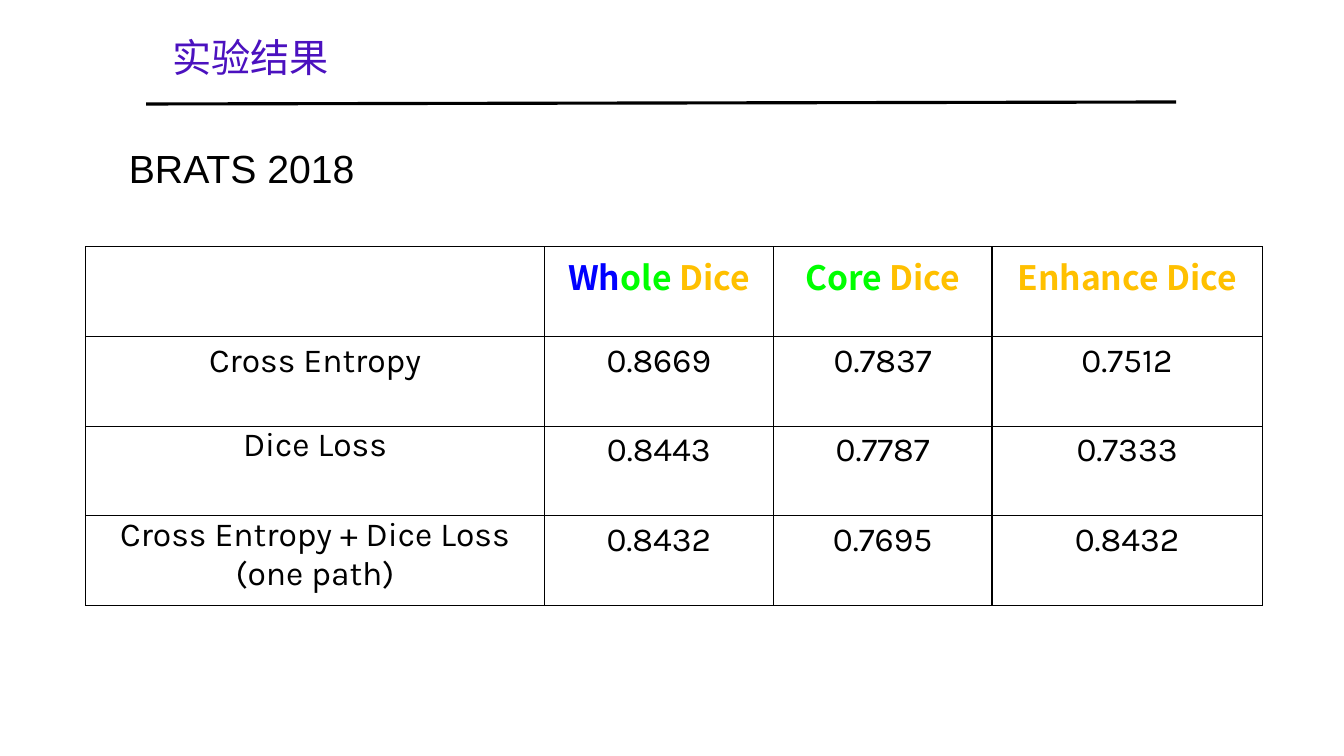
from lxml import etree
from pptx import Presentation
from pptx import util as u
from pptx.dml.color import RGBColor
from pptx.enum import shapes, text
from pptx.oxml import ns

BLACK, WHITE, PURPLE = "000000", "FFFFFF", "4B11BF"
BLUE, GREEN, ORANGE = "0000FF", "00FF00", "FFC000"
KARLA, NOTO = "Karla", "Noto Sans CJK SC"

HEADER = [
    [],
    [("Wh", BLUE), ("ole ", GREEN), ("Dice", ORANGE)],
    [("Core ", GREEN), ("Dice", ORANGE)],
    [("Enhance Dice", ORANGE)],
]
SCORES = [
    ["Cross Entropy", "0.8669", "0.7837", "0.7512"],
    ["Dice Loss", "0.8443", "0.7787", "0.7333"],
    ["Cross Entropy + Dice Loss (one path)", "0.8432", "0.7695", "0.8432"],
]
COLUMN_WIDTHS = [11.56, 5.77, 5.51, 6.81]
ROW_HEIGHT = 2.26
TIGHT_ROWS = (2, 3)


def apply(target, values):
    for name, value in values.items():
        setattr(target, name, value)


def colour(hex_string):
    return RGBColor.from_string(hex_string)


def place(shape, left, top, width, height):
    apply(shape, {"left": u.Cm(left), "top": u.Cm(top),
                  "width": u.Cm(width), "height": u.Cm(height)})


def write(para, pieces, size, name, bold=False, align=text.PP_ALIGN.LEFT):
    para.alignment = align
    for words, hex_string in pieces:
        span = para.add_run()
        span.text = words
        apply(span.font, {"size": u.Pt(size), "name": name, "bold": bold})
        span.font.color.rgb = colour(hex_string)
        east_asian = etree.SubElement(span._r.get_or_add_rPr(), ns.qn("a:ea"))
        east_asian.set("typeface", NOTO)


def fill_heading(box, bounds, words, name, hex_string):
    place(box, *bounds)
    apply(box.text_frame, {"word_wrap": True,
                           "auto_size": text.MSO_AUTO_SIZE.SHAPE_TO_FIT_TEXT,
                           "vertical_anchor": text.MSO_ANCHOR.TOP})
    write(box.text_frame.paragraphs[0], [(words, hex_string)], 28, name)


def add_rule(page):
    rule = page.shapes.add_connector(
        shapes.MSO_CONNECTOR.STRAIGHT, u.Cm(3.68), u.Cm(2.62), u.Cm(29.64), u.Cm(2.57))
    rule.line.color.rgb = colour(BLACK)
    rule.line.width = u.Pt(2.25)
    etree.SubElement(rule._element.spPr, ns.qn("a:effectLst"))


def add_borders(cell):
    properties = cell._tc.get_or_add_tcPr()
    for side in ("lnL", "lnR", "lnT", "lnB"):
        border = etree.SubElement(properties, ns.qn(f"a:{side}"), w=str(u.Pt(1)))
        solid = etree.SubElement(border, ns.qn("a:solidFill"))
        etree.SubElement(solid, ns.qn("a:srgbClr"), val=BLACK)


def format_cell(cell, pieces, name, bold):
    add_borders(cell)
    cell.fill.solid()
    cell.fill.fore_color.rgb = colour(WHITE)
    write(cell.text_frame.paragraphs[0], pieces, 24, name, bold, text.PP_ALIGN.CENTER)


def add_score_table(page):
    rows = [HEADER] + [[[(words, BLACK)] for words in row] for row in SCORES]
    table = page.shapes.add_table(
        len(rows), len(COLUMN_WIDTHS), u.Cm(2.16), u.Cm(6.22),
        u.Cm(sum(COLUMN_WIDTHS)), u.Cm(ROW_HEIGHT * len(rows))).table
    apply(table, {"first_row": False, "horz_banding": False})
    for column, width in zip(table.columns, COLUMN_WIDTHS):
        column.width = u.Cm(width)
    for i, row in enumerate(rows):
        table.rows[i].height = u.Cm(ROW_HEIGHT)
        for j, pieces in enumerate(row):
            format_cell(table.cell(i, j), pieces, KARLA if i else NOTO, i == 0)
    for i in TIGHT_ROWS:
        apply(table.cell(i, 0), {"margin_left": u.Cm(0.18), "margin_right": u.Cm(0.18),
                                 "margin_top": 0, "margin_bottom": 0})


def main():
    deck = Presentation()
    apply(deck, {"slide_width": u.Cm(33.87), "slide_height": u.Cm(19.05)})
    page = deck.slides.add_slide(deck.slide_layouts[5])
    add_rule(page)
    fill_heading(page.shapes.title, (4.09, 0.71, 6.71, 1.45), "实验结果", KARLA, PURPLE)
    add_score_table(page)
    dataset = page.shapes.add_textbox(0, 0, 0, 0)
    fill_heading(dataset, (3, 3.51, 6.5, 1.45), "BRATS 2018", "Arial", BLACK)
    deck.save("out.pptx")


if __name__ == "__main__":
    main()
